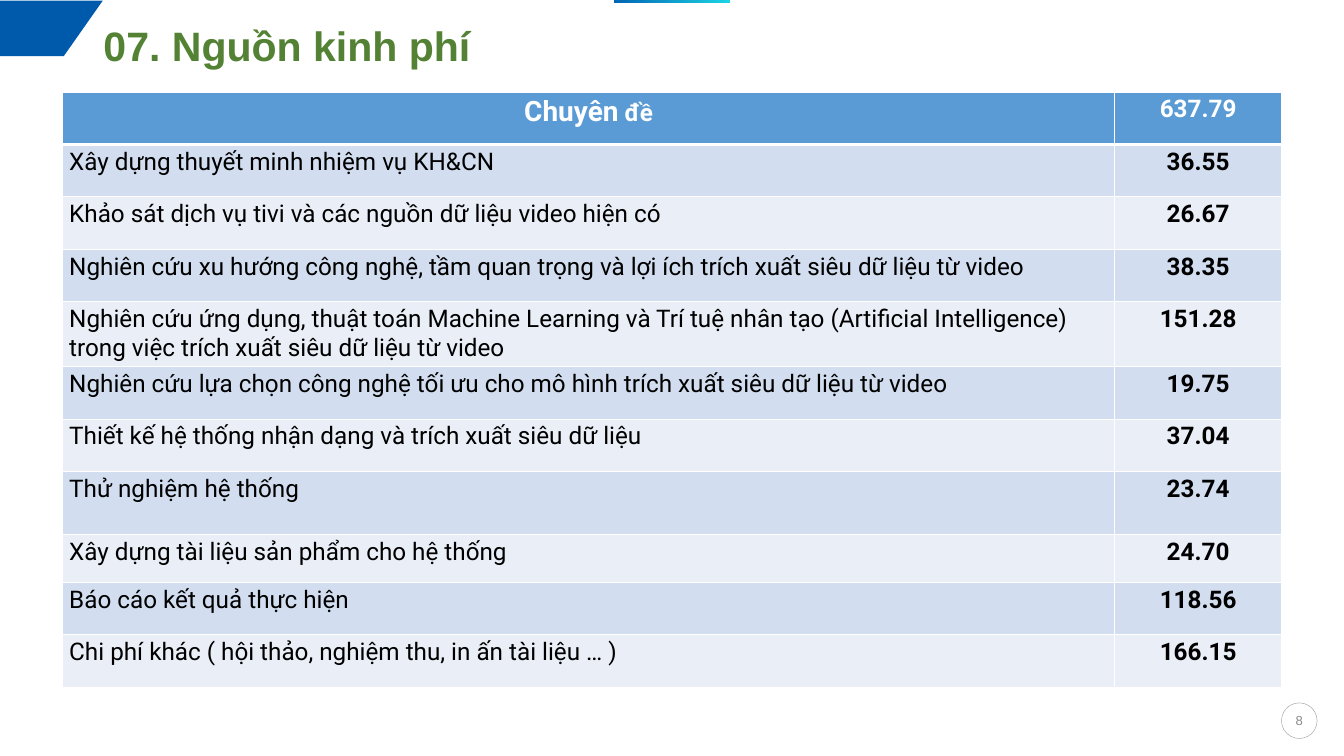
import lxml.etree
import pptx
import pptx.dml.color
import pptx.enum.shapes
import pptx.enum.text
import pptx.oxml.ns
import pptx.util

HUES = {
    "flag": "005AAB", "title": "548235", "from": "0166B4", "to": "1CD4E4",
    "head": "5B9BD5", "odd": "D2DEEF", "even": "EAEFF7", "white": "FFFFFF",
    "black": "000000", "ring": "A6A6A6", "page": "8C8C8C",
}
CELL = pptx.util.Inches(0.1)
COLS, ROWS = 200, 112.5
KINDS = pptx.enum.shapes.MSO_SHAPE
ALIGN = pptx.enum.text.PP_ALIGN
COSTS = [
    ("Xây dựng thuyết minh nhiệm vụ KH&CN", "36.55"),
    ("Khảo sát dịch vụ tivi và các nguồn dữ liệu video hiện có", "26.67"),
    ("Nghiên cứu xu hướng công nghệ, tầm quan trọng và lợi ích trích xuất siêu dữ liệu từ video", "38.35"),
    ("Nghiên cứu ứng dụng, thuật toán Machine Learning và Trí tuệ nhân tạo (Artificial Intelligence) "
     "trong việc trích xuất siêu dữ liệu từ video", "151.28"),
    ("Nghiên cứu lựa chọn công nghệ tối ưu cho mô hình trích xuất siêu dữ liệu từ video", "19.75"),
    ("Thiết kế hệ thống nhận dạng và trích xuất siêu dữ liệu", "37.04"),
    ("Thử nghiệm hệ thống", "23.74"),
    ("Xây dựng tài liệu sản phẩm cho hệ thống", "24.70"),
    ("Báo cáo kết quả thực hiện", "118.56"),
    ("Chi phí khác ( hội thảo, nghiệm thu, in ấn tài liệu … )", "166.15"),
]
HIGH = {7: 9.4, 8: 7.1}


def span(size):
    """Turn grid cells into a length."""
    return round(size * CELL)


def hue(name):
    """Look up a colour."""
    return pptx.dml.color.RGBColor.from_string(HUES[name])


def style(para, face, size, tint, bold=False, align=None):
    """Set the font and alignment of a paragraph."""
    font = para.font
    font.name, font.size, font.bold = face, pptx.util.Pt(size), bold
    font.color.rgb = hue(tint)
    para.alignment = align


def label(slide, box, text, top, side, *look):
    """Add a one-line text box with its insets."""
    frame = slide.shapes.add_textbox(*map(span, box)).text_frame
    frame.word_wrap = True
    frame.margin_top, frame.margin_bottom = span(top), 0
    frame.margin_left = frame.margin_right = span(side)
    para = frame.paragraphs[0]
    para.text = text
    style(para, *look)


def banner(slide, box):
    """Draw the corner flag, the top bar and the title in a box."""
    left, top, wide, high = box
    flag = (0, 0.1, 0.0765 * wide, 0.94 * high)
    pts = [(flag[2], flag[1]), (0.62 * flag[2], flag[3]), (0, flag[3])]
    path = slide.shapes.build_freeform(span(left), span(top + flag[1]))
    path.add_line_segments([(span(left + x), span(top + y)) for x, y in pts])
    shape = path.convert_to_shape()
    shape.shadow.inherit = False
    shape.fill.solid()
    shape.fill.fore_color.rgb = hue("flag")
    shape.line.fill.background()
    bar = slide.shapes.add_shape(
        KINDS.RECTANGLE, *map(span, (left + 0.457 * wide, top, 0.0865 * wide, 0.5)))
    bar.shadow.inherit = False
    bar.line.fill.background()
    bar.fill.gradient()
    bar.fill.gradient_angle = 0
    for stop, name in zip(bar.fill.gradient_stops, ("from", "to")):
        stop.color.rgb = hue(name)
    label(slide, (left + 0.07 * wide, top + 0.5, 0.863 * wide, 8.3),
          "07. Nguồn kinh phí", 2.5, 1.4, "Arial", 44, "title", True)


def edge(cell, base):
    """Give a cell white borders, with its own lower width."""
    props = cell._tc.get_or_add_tcPr()
    for side, size in zip("LRTB", (1, 1, 1, base)):
        line = lxml.etree.SubElement(
            props, pptx.oxml.ns.qn("a:ln" + side), w=str(pptx.util.Pt(size)))
        fill = lxml.etree.SubElement(line, pptx.oxml.ns.qn("a:solidFill"))
        lxml.etree.SubElement(fill, pptx.oxml.ns.qn("a:srgbClr"), val=HUES["white"])


def paint(cell, text, fill, base, *look):
    """Fill one table cell."""
    edge(cell, base)
    cell.fill.solid()
    cell.fill.fore_color.rgb = hue(fill)
    para = cell.text_frame.paragraphs[0]
    para.text = text
    style(para, "Roboto", 26, *look)
    return para


def budget(slide, box):
    """Draw the cost table in a box."""
    table = slide.shapes.add_table(len(COSTS) + 1, 2, *map(span, box)).table
    for col, wide in zip(table.columns, (box[2] - 24.8, 24.8)):
        col.width = span(wide)
    for num, row in enumerate(table.rows):
        row.height = span(HIGH.get(num, 7.8))
    head = paint(table.cell(0, 0), "Chuyên", "head", 3, "white", True, ALIGN.CENTER)
    head.runs[0].font.size = pptx.util.Pt(30)
    head.add_run().text = " đề"
    paint(table.cell(0, 1), "637.79", "head", 3, "white", True, ALIGN.CENTER)
    for num, (name, cost) in enumerate(COSTS, 1):
        fill = "odd" if num % 2 else "even"
        paint(table.cell(num, 0), name, fill, 1, "black")
        paint(table.cell(num, 1), cost, fill, 1, "black", True, ALIGN.CENTER)


def badge(slide, box):
    """Draw the ringed page number in a box."""
    left, top, wide, high = box
    ring = slide.shapes.add_shape(KINDS.OVAL, *map(span, box))
    ring.shadow.inherit = False
    ring.fill.background()
    ring.line.color.rgb = hue("ring")
    ring.line.width = pptx.util.Pt(0.5)
    label(slide, (left, top + 1, wide, high - 1.9), "8", 0.5, 0,
          "Arial", 14, "page", False, ALIGN.CENTER)


def main():
    """Build and save the slide."""
    deck = pptx.Presentation()
    deck.slide_width, deck.slide_height = span(COLS), span(ROWS)
    slide = deck.slides.add_slide(deck.slide_layouts[6])
    badge(slide, (190.7, 104.6, 5.3, 5.3))
    banner(slide, (0, 0, COLS, 8.9))
    budget(slide, (9.3, 13.7, 181.4, 88.4))
    deck.save("out.pptx")


if __name__ == "__main__":
    main()
